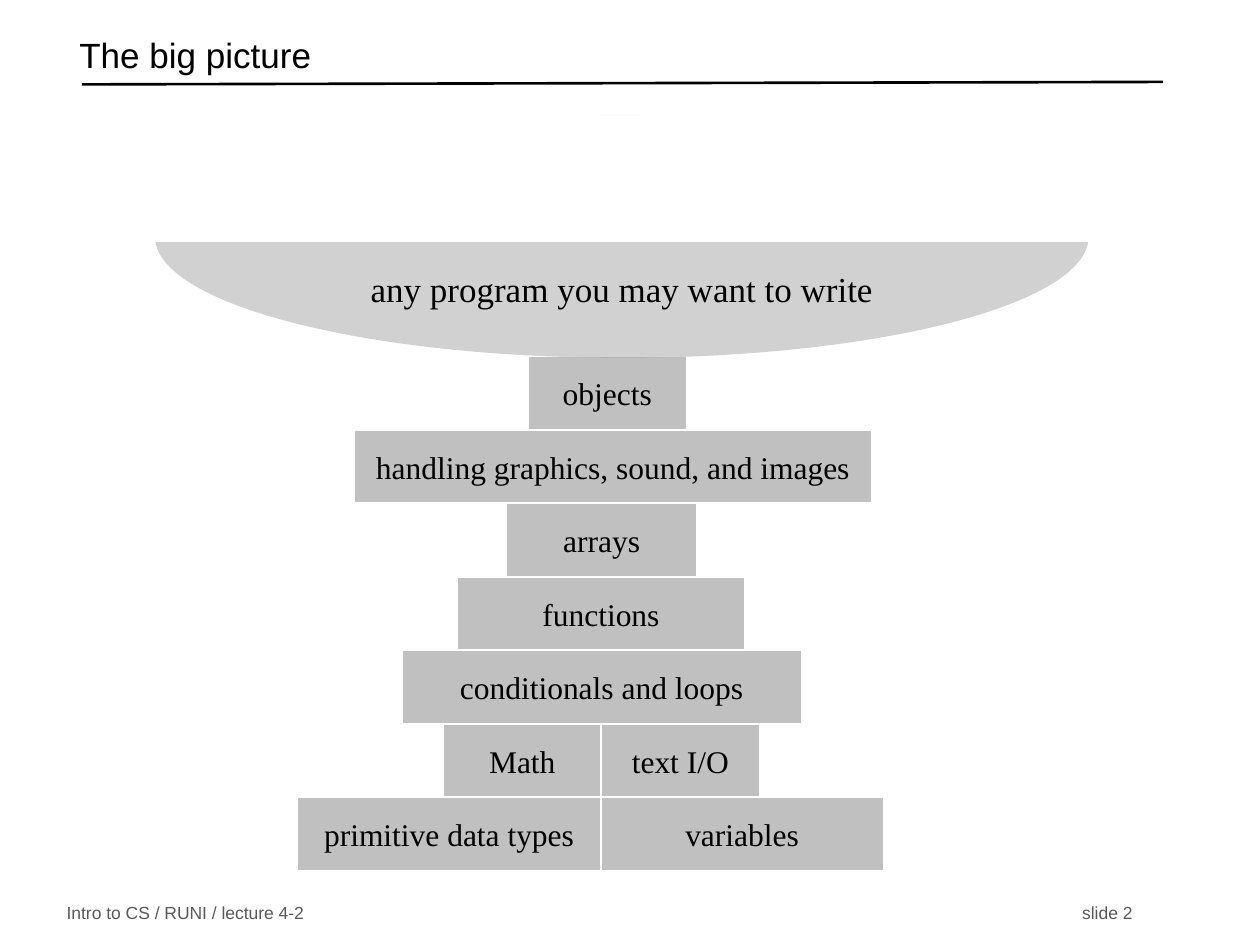
from lxml.etree import SubElement
from pptx import Presentation
from pptx.dml.color import RGBColor
from pptx.enum.shapes import MSO_CONNECTOR, MSO_SHAPE
from pptx.enum.text import MSO_ANCHOR, PP_ALIGN
from pptx.oxml.ns import qn
from pptx.util import Inches, Pt

COLORS = {"text": "000000", "footer": "595959", "block": "C0C0C0",
          "paper": "FFFFFF", "dome": "A5A5A5"}


def write(shape, text, size, font, color="text", align=PP_ALIGN.CENTER):
    """Fill the text frame with one formatted paragraph and return it."""
    frame = shape.text_frame
    frame.word_wrap = True
    frame.vertical_anchor = MSO_ANCHOR.MIDDLE
    paragraph = frame.paragraphs[0]
    paragraph.text = text
    paragraph.alignment = align
    style = {"size": Pt(size), "name": font, "bold": False}
    for key, value in style.items():
        setattr(paragraph.runs[0].font, key, value)
    paragraph.runs[0].font.color.rgb = RGBColor.from_string(COLORS[color])
    return paragraph


def add_filled(kind, left, top, width, height, fill):
    """Add a flat shape with a solid fill and no line."""
    shape = slide.shapes.add_shape(
        kind, Inches(left), Inches(top), Inches(width), Inches(height))
    shape.shadow.inherit = False
    shape.fill.solid()
    shape.fill.fore_color.rgb = RGBColor.from_string(COLORS[fill])
    shape.line.fill.background()
    return shape


prs = Presentation()
prs.slide_width, prs.slide_height = Inches(10), Inches(7.5)
slide = prs.slides.add_slide(prs.slide_layouts[5])

# Title and rule
title = slide.shapes.title
title_place = {"left": 0.53, "top": 0.22, "width": 8.6, "height": 0.5}
for side, length in title_place.items():
    setattr(title, side, Inches(length))
heading = write(title, "The big picture", 20, "Arial", align=PP_ALIGN.LEFT)
heading.line_spacing = 0.7

rule = slide.shapes.add_connector(
    MSO_CONNECTOR.STRAIGHT, Inches(0.65), Inches(0.67), Inches(9.23), Inches(0.65))
rule.line.color.rgb = RGBColor.from_string(COLORS["text"])
rule.line.width = Pt(1.5)
SubElement(rule._element.spPr, qn("a:effectLst"))

# Footer, with the slide number at a right tab
footer = slide.shapes.add_textbox(Inches(0.43), Inches(7.06), Inches(8.71), Inches(0.37))
footer_line = write(footer, "Intro to CS / RUNI / lecture 4-2\tslide 2", 10, "Arial",
                    "footer", PP_ALIGN.LEFT)
tabs = SubElement(footer_line._p.get_or_add_pPr(), qn("a:tabLst"))
SubElement(tabs, qn("a:tab"), pos=str(Inches(8.46)), algn="r")

# Tower of topics, from top to bottom: left edge, then the blocks side by side
tower_top, row_step, block_height = 2.83, 3.5 / 6, 0.58
tower = [
    (4.19, [("objects", 1.26)]),
    (2.81, [("handling graphics, sound, and images", 4.11)]),
    (4.02, [("arrays", 1.51)]),
    (3.63, [("functions", 2.28)]),
    (3.19, [("conditionals and loops", 3.17)]),
    (3.52, [("Math", 1.25), ("text I/O", 1.26)]),
    (2.36, [("primitive data types", 2.41), ("variables", 2.24)]),
]
for row, (left, blocks) in enumerate(tower):
    for topic, width in blocks:
        block = add_filled(MSO_SHAPE.RECTANGLE, left, tower_top + row * row_step,
                           width, block_height, "block")
        block.line.color.rgb = RGBColor.from_string(COLORS["paper"])
        block.line.width = Pt(0.75)
        write(block, topic, 18, "Times New Roman")
        left += width

# Bowl on top of the tower: a translucent ellipse with its upper half covered
bowl = add_filled(MSO_SHAPE.OVAL, 1.23, 0.92, 7.41, 1.92, "dome")
bowl_color = bowl._element.spPr.find(qn("a:solidFill")).find(qn("a:srgbClr"))
SubElement(bowl_color, qn("a:alpha"), val="50000")
write(bowl, "any program you may want to write", 20, "Times New Roman")
bowl.text_frame.margin_top = Inches(0.87)
add_filled(MSO_SHAPE.RECTANGLE, 0.17, 0.92, 9.67, 1, "paper")

prs.save("out.pptx")
